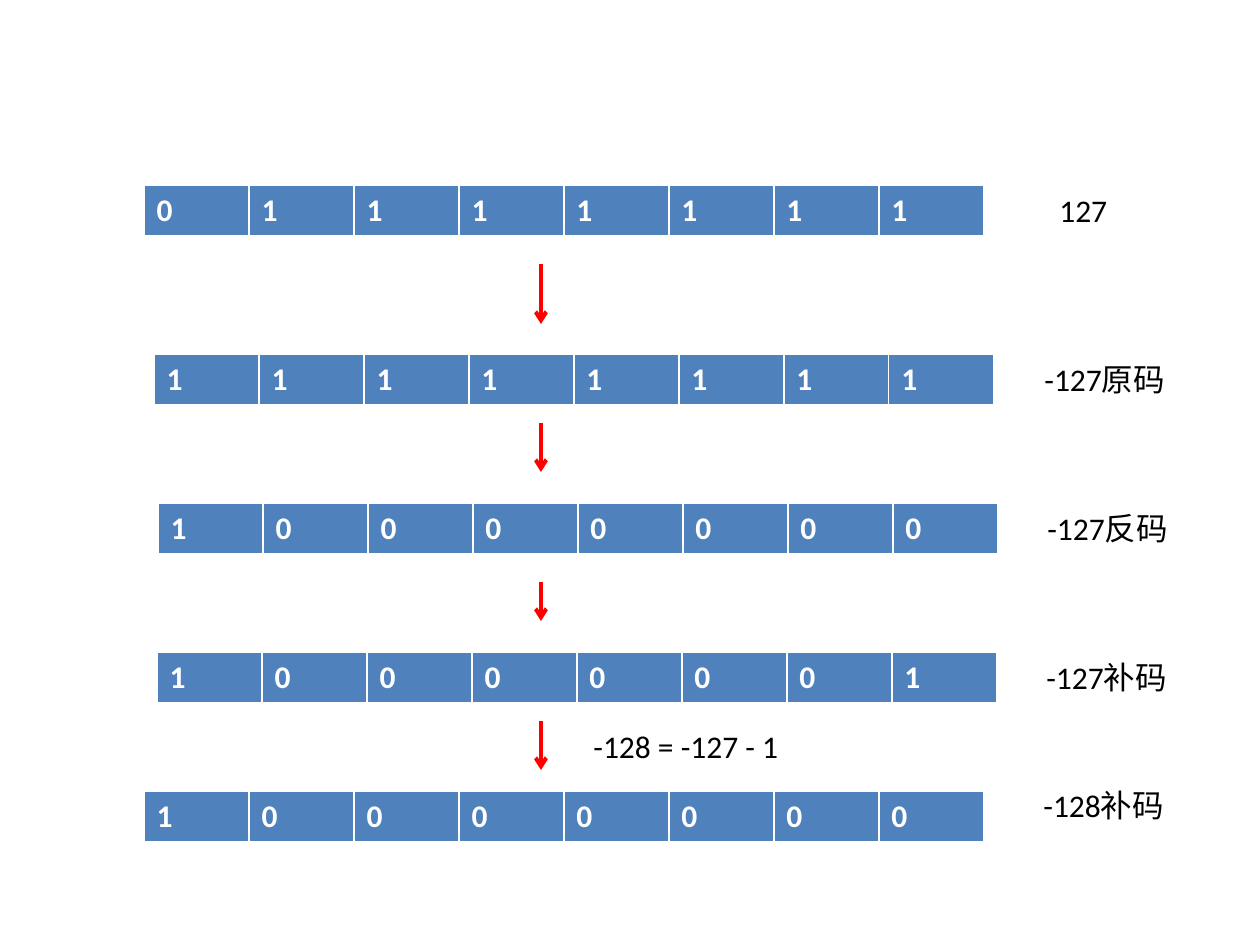
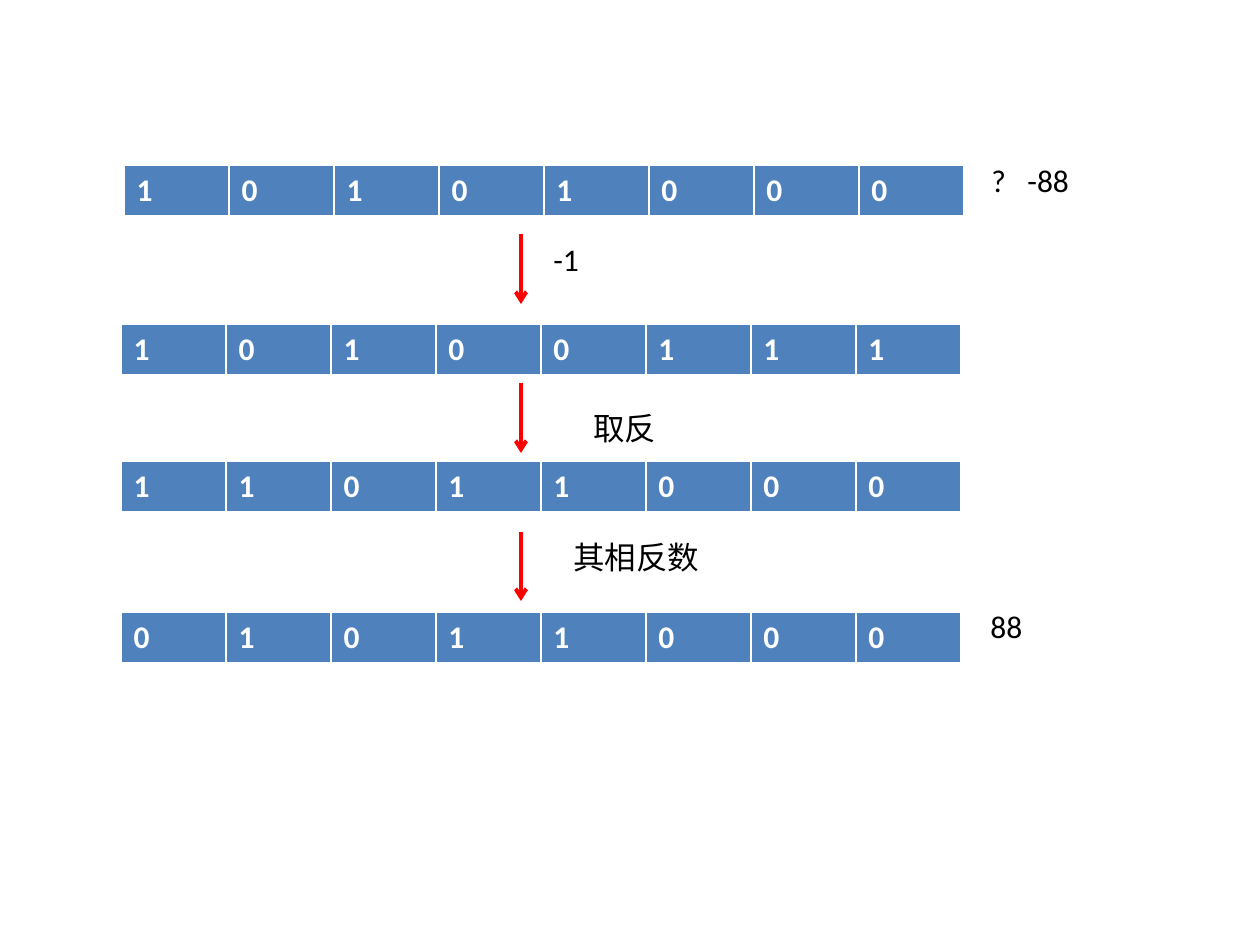
from dataclasses import dataclass

from lxml.etree import SubElement
from pptx import Presentation
from pptx.dml.color import RGBColor
from pptx.enum.shapes import MSO_CONNECTOR
from pptx.enum.text import MSO_AUTO_SIZE
from pptx.oxml.ns import qn
from pptx.slide import Slide
from pptx.text.text import _Paragraph
from pptx.util import Emu, Pt

PX_PER_INCH = 126
BLUE = RGBColor(0x4F, 0x81, 0xBD)
RED = RGBColor(0xFF, 0x00, 0x00)
WHITE = RGBColor(0xFF, 0xFF, 0xFF)
BLACK = RGBColor(0x00, 0x00, 0x00)
LABEL_FONT = {"name": "Calibri", "size": Pt(18), "bold": False}
BIT_FONT = {**LABEL_FONT, "bold": True}
BORDERS = {"a:lnL": 1, "a:lnR": 1, "a:lnT": 1, "a:lnB": 3}
BIT_W, BIT_H = 105, 52
LABEL_H = 50
TAB_STOP = 36


@dataclass(frozen=True)
class ByteRow:
    x: int
    y: int
    bits: str


@dataclass(frozen=True)
class Arrow:
    x: int
    top: int
    bottom: int


@dataclass(frozen=True)
class Label:
    x: int
    y: int
    w: int
    text: str


SLIDES = [
    [
        ByteRow(144, 185, "01111111"),
        ByteRow(154, 354, "11111111"),
        ByteRow(158, 503, "10000000"),
        ByteRow(157, 652, "10000001"),
        ByteRow(144, 791, "10000000"),
        Arrow(541, 264, 324),
        Arrow(541, 423, 472),
        Arrow(541, 582, 621),
        Arrow(541, 721, 770),
        Label(1047, 185, 129, "127"),
        Label(1032, 354, 174, "-127原码"),
        Label(1035, 503, 174, "-127反码"),
        Label(1034, 652, 174, "-127补码"),
        Label(581, 721, 258, "-128 = -127 - 1"),
        Label(1031, 780, 174, "-128补码"),
    ],
    [
        ByteRow(124, 165, "10101000"),
        ByteRow(121, 324, "10100111"),
        ByteRow(121, 461, "11011000"),
        ByteRow(121, 612, "01011000"),
        Arrow(521, 234, 304),
        Arrow(521, 383, 453),
        Arrow(521, 532, 601),
        Label(541, 234, 228, "-1"),
        Label(581, 403, 228, "取反"),
        Label(561, 532, 297, "其相反数"),
        Label(978, 601, 118, "88"),
        Label(979, 155, 118, "?\t-88"),
    ],
]


def px(n: int) -> Emu:
    return Emu(round(n * 914400 / PX_PER_INCH))


def write(p: _Paragraph, text: str, fmt: dict, color: RGBColor) -> None:
    r = p.add_run()
    r.text = text
    for name, value in fmt.items():
        setattr(r.font, name, value)
    r.font.color.rgb = color


def draw_byte(s: Slide, row: ByteRow) -> None:
    n = len(row.bits)
    table = s.shapes.add_table(1, n, px(row.x), px(row.y), px(n * BIT_W), px(BIT_H)).table
    table.horz_banding = False
    for cell, bit in zip(table.iter_cells(), row.bits):
        write(cell.text_frame.paragraphs[0], bit, BIT_FONT, WHITE)
        tc_pr = cell._tc.get_or_add_tcPr()
        for tag, width in BORDERS.items():
            ln = SubElement(tc_pr, qn(tag), w=str(Pt(width)))
            fill = SubElement(ln, qn("a:solidFill"))
            SubElement(fill, qn("a:srgbClr"), val=str(WHITE))
        cell.fill.solid()
        cell.fill.fore_color.rgb = BLUE


def draw_arrow(s: Slide, arrow: Arrow) -> None:
    x = px(arrow.x)
    sp = s.shapes.add_connector(MSO_CONNECTOR.STRAIGHT, x, px(arrow.top), x, px(arrow.bottom))
    sp.line.color.rgb = RED
    sp.line.width = Pt(2.25)
    SubElement(sp.line._get_or_add_ln(), qn("a:tailEnd"), type="arrow")
    SubElement(sp._element.spPr, qn("a:effectLst"))


def draw_label(s: Slide, label: Label) -> None:
    tf = s.shapes.add_textbox(px(label.x), px(label.y), px(label.w), px(LABEL_H)).text_frame
    tf.word_wrap = True
    tf.auto_size = MSO_AUTO_SIZE.SHAPE_TO_FIT_TEXT
    p = tf.paragraphs[0]
    if "\t" in label.text:
        tabs = SubElement(p._p.get_or_add_pPr(), qn("a:tabLst"))
        SubElement(tabs, qn("a:tab"), pos=str(px(TAB_STOP)), algn="l")
    write(p, label.text, LABEL_FONT, BLACK)


DRAW = {ByteRow: draw_byte, Arrow: draw_arrow, Label: draw_label}


def main() -> None:
    prs = Presentation()
    prs.slide_width, prs.slide_height = px(1260), px(945)
    for items in SLIDES:
        s = prs.slides.add_slide(prs.slide_layouts[6])
        for item in items:
            DRAW[type(item)](s, item)
    prs.save("out.pptx")


if __name__ == "__main__":
    main()
